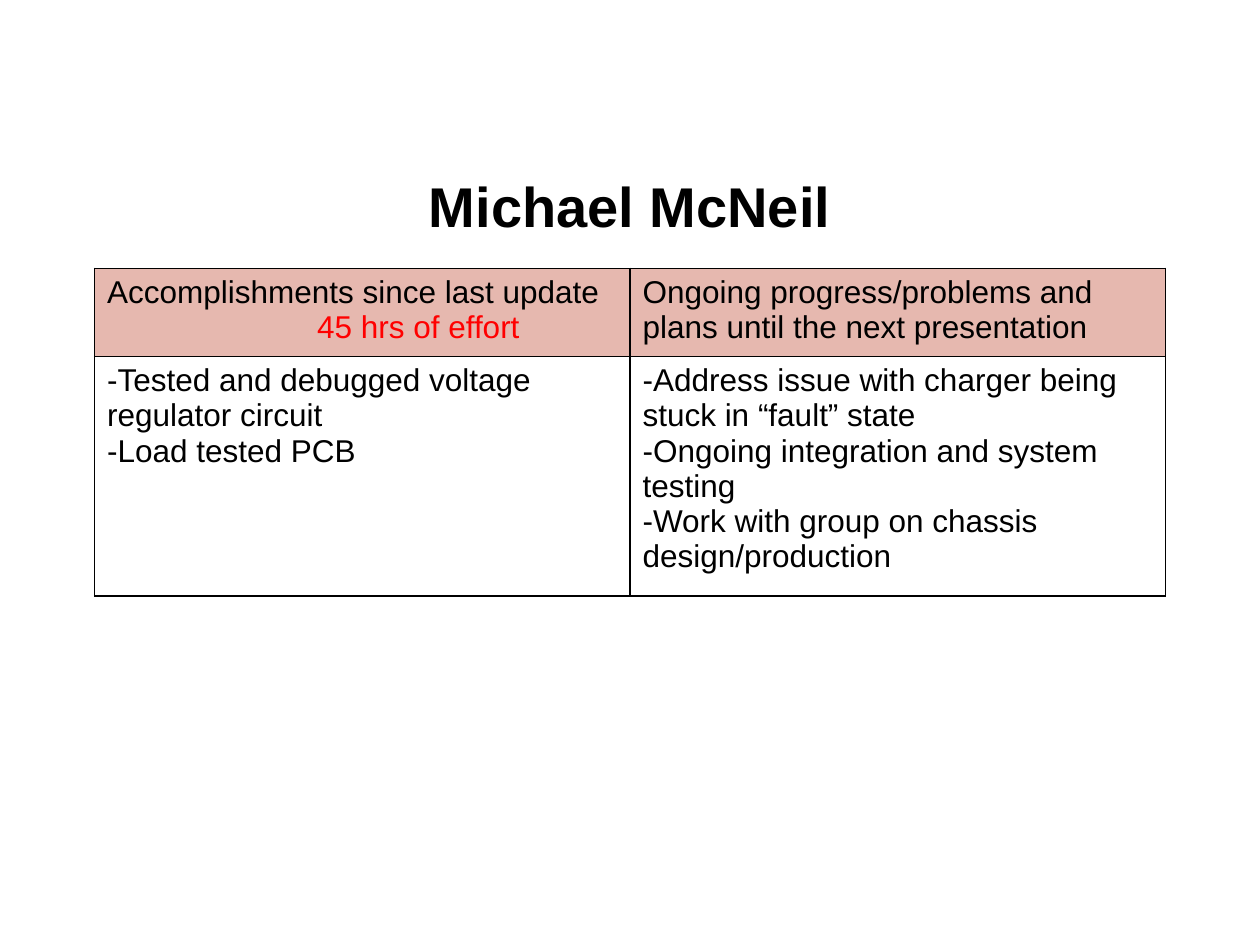
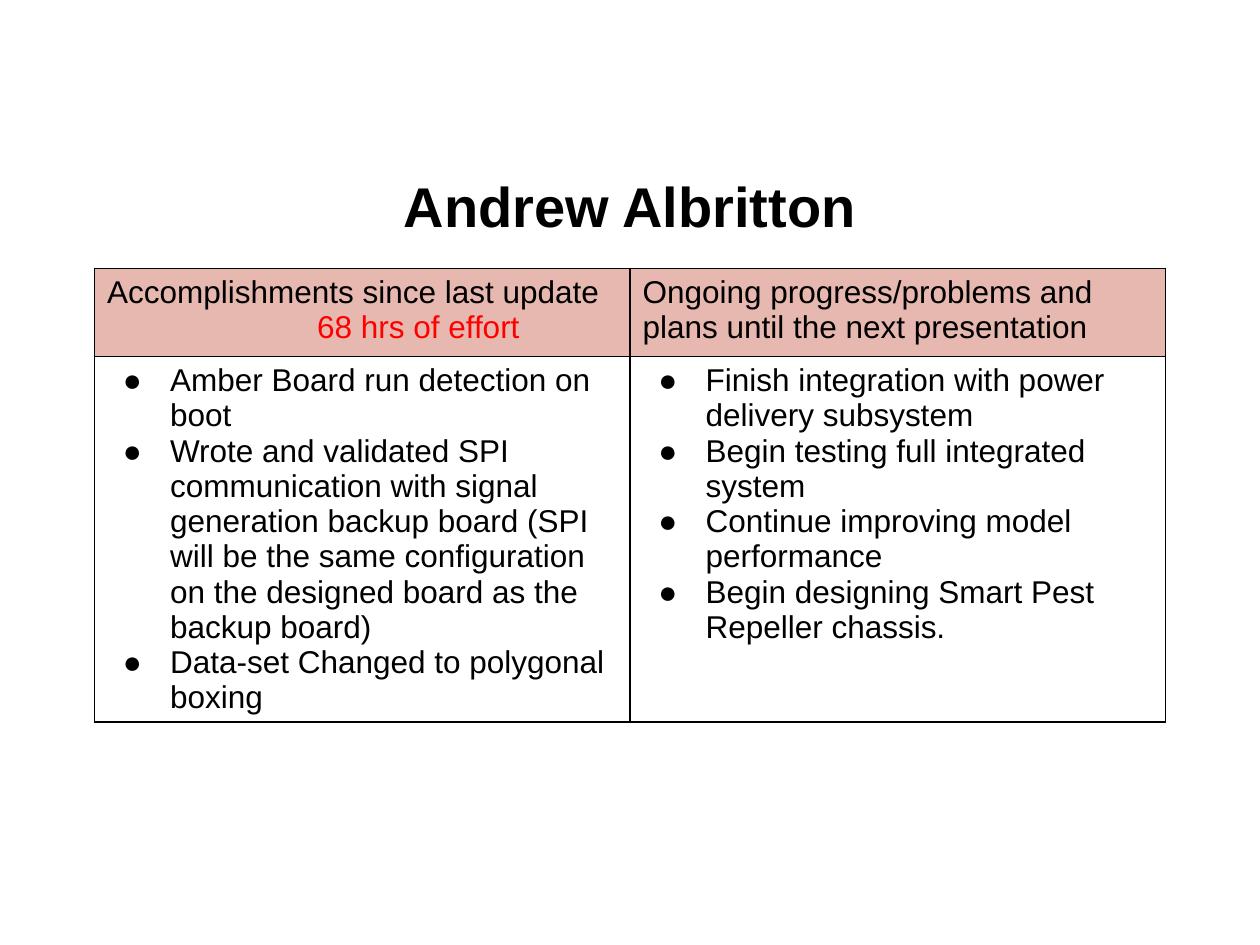
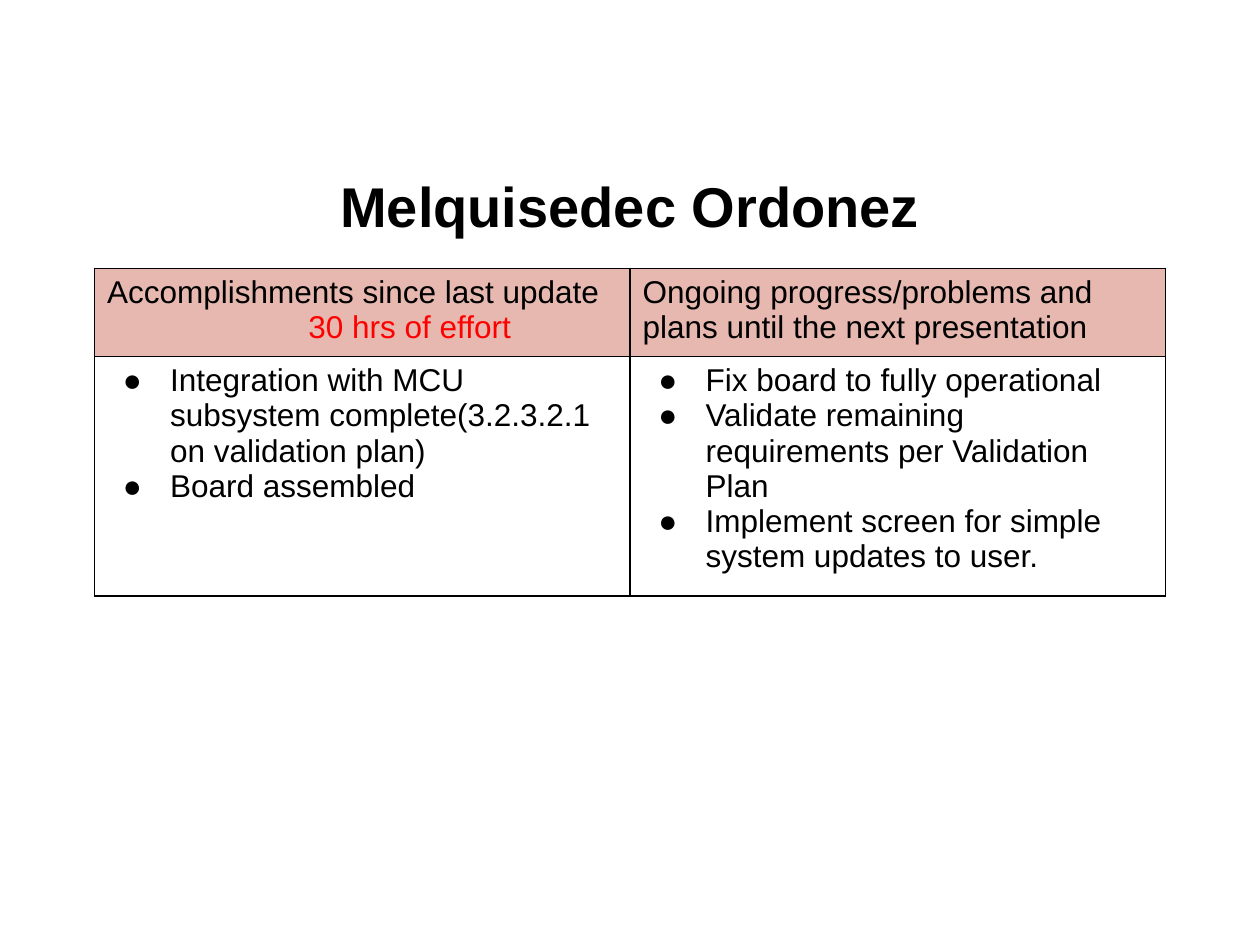
from dataclasses import dataclass

from lxml import etree
from pptx import Presentation
from pptx.dml.color import RGBColor
from pptx.enum.text import MSO_ANCHOR, MSO_AUTO_SIZE, PP_ALIGN
from pptx.oxml.ns import qn
from pptx.slide import Slide
from pptx.table import Table, _Cell as Cell
from pptx.text.text import _Paragraph as Paragraph
from pptx.util import Pt

BLACK = RGBColor(0x00, 0x00, 0x00)
RED = RGBColor(0xFF, 0x00, 0x00)
ROSE = RGBColor(0xE6, 0xB8, 0xAF)

FONT = "Arial"
TITLE_SIZE = Pt(32)
BODY_SIZE = Pt(18)

TITLE_BOX = (Pt(36), Pt(82.8), Pt(648), Pt(63.4))
TABLE_LEFT, TABLE_TOP = Pt(54), Pt(153.4)
COLUMN_WIDTH = Pt(306)
HEADER_HEIGHT, BODY_HEIGHT = Pt(50.4), Pt(136.8)
BORDER_WIDTH = Pt(1)
BULLET_INDENT, BULLET_HANG = Pt(36), Pt(27)

DONE_HEADING = "Accomplishments since last update"
NEXT_HEADING = "Ongoing progress/problems and plans until the next presentation"


@dataclass(frozen=True)
class Update:
    member: str
    hours: int
    done: list[str]
    planned: list[str]
    bulleted: bool = True
    effort_indent: int = Pt(120)


UPDATES = [
    Update(
        "Michael McNeil",
        45,
        ["-Tested and debugged voltage regulator circuit", "-Load tested PCB"],
        [
            "-Address issue with charger being stuck in “fault” state",
            "-Ongoing integration and system testing",
            "-Work with group on chassis design/production",
        ],
        bulleted=False,
    ),
    Update(
        "Andrew Albritton",
        68,
        [
            "Amber Board run detection on boot",
            "Wrote and validated SPI communication with signal generation "
            "backup board (SPI will be the same configuration on the "
            "designed board as the backup board)",
            "Data-set Changed to polygonal boxing",
        ],
        [
            "Finish integration with power delivery subsystem",
            "Begin testing full integrated system",
            "Continue improving model performance",
            "Begin designing Smart Pest Repeller chassis.",
        ],
    ),
    Update(
        "Melquisedec Ordonez",
        30,
        [
            "Integration with MCU subsystem complete(3.2.3.2.1 on validation plan)",
            "Board assembled",
        ],
        [
            "Fix board to fully operational",
            "Validate remaining requirements per Validation Plan",
            "Implement screen for simple system updates to user.",
        ],
        effort_indent=Pt(115),
    ),
]


def add_span(para: Paragraph, text: str, size: int = BODY_SIZE,
             color: RGBColor = BLACK, bold: bool = False) -> None:
    span = para.add_run()
    span.text = text
    span.font.name = FONT
    span.font.size = size
    span.font.bold = bold
    span.font.color.rgb = color


def indent(para: Paragraph, left: int, hang: int = 0) -> None:
    properties = para._p.get_or_add_pPr()
    properties.set("marL", str(left))
    properties.set("indent", str(-hang))


def add_bullet(para: Paragraph) -> None:
    indent(para, BULLET_INDENT, BULLET_HANG)
    properties = para._p.get_or_add_pPr()
    color = etree.SubElement(properties, qn("a:buClr"))
    etree.SubElement(color, qn("a:srgbClr"), val=str(BLACK))
    etree.SubElement(properties, qn("a:buFont"), typeface=FONT)
    etree.SubElement(properties, qn("a:buChar"), char="●")


def add_borders(cell: Cell) -> None:
    properties = cell._tc.get_or_add_tcPr()
    for position, side in enumerate(("lnL", "lnR", "lnT", "lnB")):
        line = etree.Element(qn(f"a:{side}"), w=str(BORDER_WIDTH))
        fill = etree.SubElement(line, qn("a:solidFill"))
        etree.SubElement(fill, qn("a:srgbClr"), val=str(BLACK))
        properties.insert(position, line)


def write_items(cell: Cell, items: list[str], bulleted: bool) -> None:
    frame = cell.text_frame
    for number, item in enumerate(items):
        para = frame.add_paragraph() if number else frame.paragraphs[0]
        if bulleted:
            add_bullet(para)
        add_span(para, item)


def add_title(page: Slide, text: str) -> None:
    title = page.shapes.title
    title.left, title.top, title.width, title.height = TITLE_BOX
    frame = title.text_frame
    frame.word_wrap = True
    frame.auto_size = MSO_AUTO_SIZE.NONE
    frame.vertical_anchor = MSO_ANCHOR.MIDDLE
    para = frame.paragraphs[0]
    para.alignment = PP_ALIGN.CENTER
    para.line_spacing = 1.15
    add_span(para, text, TITLE_SIZE, bold=True)


def add_grid(page: Slide) -> Table:
    """Add the empty two-by-two table with its fills and borders."""
    grid = page.shapes.add_table(
        2, 2, TABLE_LEFT, TABLE_TOP, 2 * COLUMN_WIDTH, HEADER_HEIGHT + BODY_HEIGHT
    ).table
    grid.first_row = grid.horz_banding = False
    for column in grid.columns:
        column.width = COLUMN_WIDTH
    header, body = grid.rows
    header.height, body.height = HEADER_HEIGHT, BODY_HEIGHT
    for cell in header.cells:
        cell.fill.solid()
        cell.fill.fore_color.rgb = ROSE
    for cell in body.cells:
        cell.fill.background()
    for cell in grid.iter_cells():
        add_borders(cell)
    return grid


def add_update(page: Slide, update: Update) -> None:
    add_title(page, update.member)
    grid = add_grid(page)
    write_items(grid.cell(0, 0), [DONE_HEADING], bulleted=False)
    effort = grid.cell(0, 0).text_frame.add_paragraph()
    indent(effort, update.effort_indent)
    add_span(effort, f"{update.hours} hrs of effort", color=RED)
    write_items(grid.cell(0, 1), [NEXT_HEADING], bulleted=False)
    write_items(grid.cell(1, 0), update.done, update.bulleted)
    write_items(grid.cell(1, 1), update.planned, update.bulleted)


def main() -> None:
    deck = Presentation()
    deck.slide_width, deck.slide_height = Pt(720), Pt(540)
    title_only = deck.slide_layouts.get_by_name("Title Only")
    for update in UPDATES:
        add_update(deck.slides.add_slide(title_only), update)
    deck.save("out.pptx")


if __name__ == "__main__":
    main()
